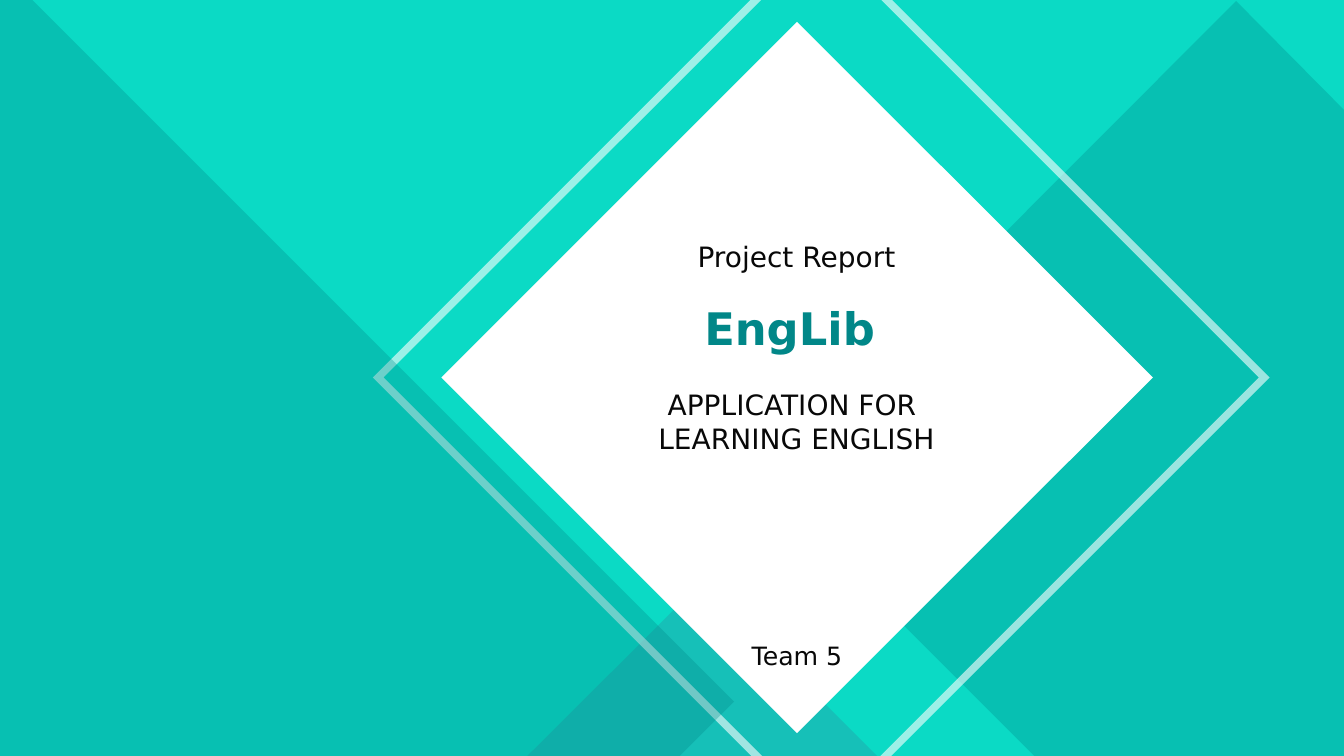
from dataclasses import dataclass

from lxml import etree
from pptx import Presentation
from pptx.dml.color import RGBColor
from pptx.enum.shapes import MSO_SHAPE
from pptx.enum.text import MSO_ANCHOR, PP_ALIGN
from pptx.oxml.ns import qn
from pptx.util import Inches, Pt

RECTANGLE = MSO_SHAPE.RECTANGLE
TRIANGLE = MSO_SHAPE.ISOSCELES_TRIANGLE
FRAME = MSO_SHAPE.FRAME
MIDDLE = MSO_ANCHOR.MIDDLE
CENTER = PP_ALIGN.CENTER


@dataclass(frozen=True)
class Theme:
    font: str = "DejaVu Sans"
    turquoise: str = "0BDAC5"
    teal: str = "018788"
    blue: str = "31859C"
    white: str = "FFFFFF"
    ink: str = "080808"
    title_size: int = 32
    gap_size: int = 28
    body_size: int = 20
    team_size: int = 18
    shade_opacity: int = 30
    frame_opacity: int = 60


THEME = Theme()


def paint(shape, color, opacity=100):
    """Fill a shape without outline or shadow; opacity is in percent."""
    shape.shadow.inherit = False
    shape.line.fill.background()
    shape.fill.solid()
    shape.fill.fore_color.rgb = RGBColor.from_string(color)
    if opacity < 100:
        color_element = shape.fill._xPr.find(qn("a:solidFill"))[0]
        alpha = etree.SubElement(color_element, qn("a:alpha"))
        alpha.set("val", str(opacity * 1000))


def add_preset(slide, preset, box, color, opacity=100, rotation=0):
    shape = slide.shapes.add_shape(preset, *map(Inches, box))
    shape.rotation = rotation
    paint(shape, color, opacity)
    return shape


def add_polygon(slide, origin, points, color, opacity):
    left, top = origin
    corners = [(Inches(left + x), Inches(top + y)) for x, y in points]
    builder = slide.shapes.build_freeform(*corners[0])
    builder.add_line_segments(corners[1:], close=True)
    paint(builder.convert_to_shape(), color, opacity)


def add_text_box(slide, box):
    frame = slide.shapes.add_textbox(*map(Inches, box)).text_frame
    frame.word_wrap = True
    frame.vertical_anchor = MIDDLE
    return frame


def write(paragraph, text, size, color=THEME.ink, bold=False, before=0):
    """Add a formatted run to a centred paragraph."""
    paragraph.alignment = CENTER
    if before:
        paragraph.space_before = Pt(before)
    run = paragraph.add_run()
    run.text = text
    run.font.name = THEME.font
    run.font.size = Pt(size)
    run.font.bold = bold
    run.font.color.rgb = RGBColor.from_string(color)


def add_background(slide, box):
    left, top, width, height = box
    shade = THEME.shade_opacity
    add_preset(slide, RECTANGLE, box, THEME.turquoise)
    # Right band
    right_band = [(12.26, 0.01), (7.52, 4.76), (10.26, height),
                  (width, height), (width, 1.09)]
    add_polygon(slide, (left, top), right_band, THEME.teal, shade)
    # Triangle on the bottom edge
    triangle_height = 1.73
    triangle = (left + 5.23, top + height - triangle_height, 3.47, triangle_height)
    add_preset(slide, TRIANGLE, triangle, THEME.blue, shade)


def add_diamonds(slide, box):
    """Centre the white diamond and its frame; box is the diamond's square."""
    left, top, side, _ = box
    add_preset(slide, RECTANGLE, box, THEME.white, rotation=45)
    frame_side = 6.29
    margin = (frame_side - side) / 2
    frame = add_preset(slide, FRAME,
                       (left + 0.24 - margin, top - margin, frame_side, frame_side),
                       THEME.white, THEME.frame_opacity, rotation=45)
    frame.adjustments[0] = 0.012


def add_left_band(slide, box):
    left, top, _, height = box
    points = [(0.32, 0), (0, 0), (0, height), (6.74, height), (7.28, 6.96)]
    add_polygon(slide, (left, top), points, THEME.teal, THEME.shade_opacity)


def add_title(slide, box):
    frame = add_text_box(slide, box)
    write(frame.paragraphs[0], "Project Report", THEME.body_size)
    name = frame.add_paragraph()
    write(name, "EngLib", THEME.title_size, THEME.teal, bold=True, before=19.5)
    write(name, " ", THEME.gap_size, bold=True)
    write(frame.add_paragraph(), "APPLICATION FOR ", THEME.body_size, before=24)
    write(frame.add_paragraph(), "LEARNING ENGLISH", THEME.body_size)


def add_team(slide, box):
    write(add_text_box(slide, box).paragraphs[0], "Team 5", THEME.team_size)


def main():
    presentation = Presentation()
    presentation.slide_width = Inches(13.33)
    presentation.slide_height = Inches(7.5)
    slide = presentation.slides.add_slide(presentation.slide_layouts[6])
    page = (0, 0, 13.33, 7.5)
    add_background(slide, page)
    add_diamonds(slide, (5.41, 1.25, 4.99, 4.99))
    add_left_band(slide, page)
    add_title(slide, (3.33, 2.4, 9.14, 2.09))
    add_team(slide, (5.3, 6.14, 5.21, 0.72))
    presentation.save("out.pptx")


if __name__ == "__main__":
    main()
